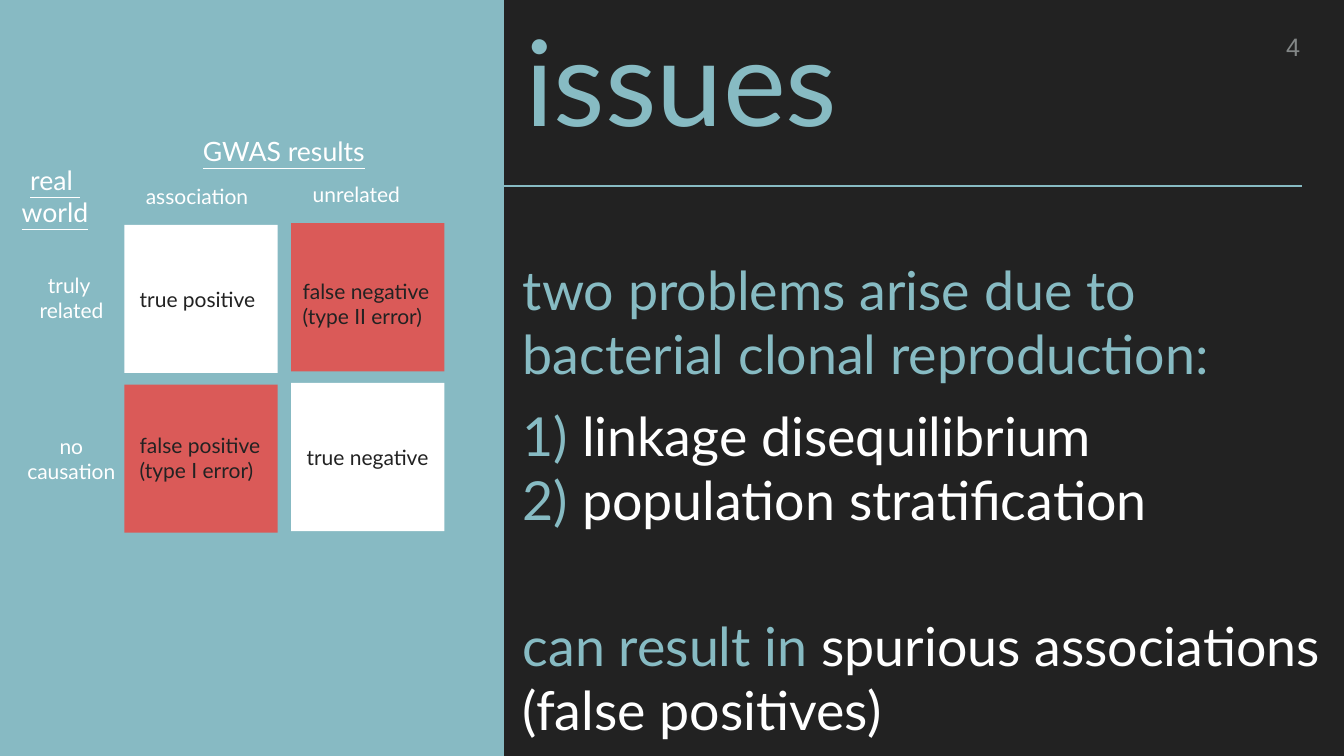
from lxml.etree import SubElement
from pptx import Presentation
from pptx.dml.color import RGBColor
from pptx.enum.shapes import MSO_CONNECTOR, MSO_SHAPE
from pptx.enum.text import MSO_ANCHOR, MSO_AUTO_SIZE, PP_ALIGN
from pptx.oxml.ns import qn
from pptx.util import Cm, Pt

DARK = RGBColor(0x22, 0x22, 0x22)
TEAL = RGBColor(0x87, 0xBB, 0xC3)
PANEL = RGBColor(0x87, 0xBA, 0xC3)
RED = RGBColor(0xDA, 0x5A, 0x58)
WHITE = RGBColor(0xFF, 0xFF, 0xFF)
GRAY = RGBColor(0x83, 0x87, 0x87)

SLIDE_WIDTH, SLIDE_HEIGHT = 67.74, 38.1
PANEL_WIDTH = 25.4


class SlideBuilder:
    font = "Lato"
    inset = Cm(0.16)

    def __init__(self, slide):
        self.slide = slide
        slide.background.fill.solid()
        slide.background.fill.fore_color.rgb = DARK

    def rectangle(self, left, top, width, height, color):
        shape = self.slide.shapes.add_shape(
            MSO_SHAPE.RECTANGLE, Cm(left), Cm(top), Cm(width), Cm(height))
        shape.shadow.inherit = False
        shape.fill.solid()
        shape.fill.fore_color.rgb = color
        shape.line.fill.background()

    def rule(self, left, right, top, color, weight):
        connector = self.slide.shapes.add_connector(
            MSO_CONNECTOR.STRAIGHT, Cm(left), Cm(top), Cm(right), Cm(top))
        connector.line.color.rgb = color
        connector.line.width = Pt(weight)
        properties = connector._element.find(qn("p:spPr"))
        SubElement(properties, qn("a:effectLst"))

    def frame(self, shape, anchor, wrap, auto_size):
        text_frame = shape.text_frame
        text_frame.margin_left = text_frame.margin_right = self.inset
        text_frame.margin_top = text_frame.margin_bottom = self.inset
        text_frame.vertical_anchor = anchor
        text_frame.word_wrap = wrap
        text_frame.auto_size = auto_size
        return text_frame

    def run(self, paragraph, text, size, color, font=None, underline=None):
        run = paragraph.add_run()
        run.text = text
        run.font.name = font or self.font
        run.font.size = Pt(size)
        run.font.color.rgb = color
        run.font.underline = underline

    def title(self, text, left, top, width, height, size):
        shape = self.slide.shapes.title
        shape.left, shape.top = Cm(left), Cm(top)
        shape.width, shape.height = Cm(width), Cm(height)
        text_frame = self.frame(shape, MSO_ANCHOR.TOP, True, MSO_AUTO_SIZE.NONE)
        paragraph = text_frame.paragraphs[0]
        paragraph.alignment = PP_ALIGN.LEFT
        self.run(paragraph, text, size, TEAL)

    def body(self, paragraphs, left, top, width, height, size):
        shape = self.slide.shapes.add_textbox(Cm(left), Cm(top), Cm(width), Cm(height))
        text_frame = self.frame(shape, MSO_ANCHOR.BOTTOM, True, MSO_AUTO_SIZE.NONE)
        for index, (space_before, runs) in enumerate(paragraphs):
            paragraph = text_frame.add_paragraph() if index else text_frame.paragraphs[0]
            paragraph.space_before = Pt(space_before)
            for text, color in runs:
                self.run(paragraph, text, size, color)

    def label(self, lines, left, top, width, height, color=WHITE, size=30,
              alignment=PP_ALIGN.LEFT, underline=None, font=None,
              anchor=MSO_ANCHOR.MIDDLE, line_spacing=None):
        shape = self.slide.shapes.add_textbox(Cm(left), Cm(top), Cm(width), Cm(height))
        text_frame = self.frame(shape, anchor, False, MSO_AUTO_SIZE.SHAPE_TO_FIT_TEXT)
        paragraph = text_frame.paragraphs[0]
        paragraph.alignment = alignment
        paragraph.line_spacing = line_spacing
        for index, line in enumerate(lines):
            if index:
                paragraph.add_line_break()
            self.run(paragraph, line, size, color, font, underline)


def main():
    presentation = Presentation()
    presentation.slide_width = Cm(SLIDE_WIDTH)
    presentation.slide_height = Cm(SLIDE_HEIGHT)
    builder = SlideBuilder(presentation.slides.add_slide(presentation.slide_layouts[5]))

    builder.rule(PANEL_WIDTH, 65.61, 9.37, TEAL, 4)
    builder.rectangle(0, 0, PANEL_WIDTH, SLIDE_HEIGHT, PANEL)
    builder.title("issues", 26.31, 0.2, 37.62, 10.59, 170)
    builder.body([
        (0, [("two problems arise due to bacterial clonal reproduction:", TEAL)]),
        (24, [("1) ", TEAL), ("linkage disequilibrium", WHITE)]),
        (0, [("2) ", TEAL), ("population stratification", WHITE)]),
        (116, [("can result in", TEAL),
               (" spurious associations (false positives)", WHITE)]),
    ], 26.19, 9.45, 40.97, 28.09, 76.8)
    builder.label(["4"], 64.67, 1.7, 0.91, 1.75, GRAY, 36, PP_ALIGN.RIGHT,
                  font="Arial", anchor=MSO_ANCHOR.TOP, line_spacing=0.8)

    row_step = 8.05
    columns = [(6.27, 11.33, (WHITE, RED)), (14.68, 11.25, (RED, WHITE))]
    for left, top, colors in columns:
        for row, color in enumerate(colors):
            builder.rectangle(left, top + row * row_step, 7.72, 7.47, color)

    builder.label(["association"], 7.19, 9.02, 5.72, 1.73)
    builder.label(["unrelated"], 15.6, 8.94, 4.98, 1.73)
    builder.label(["truly ", "related"], 1.73, 13.41, 3.76, 3.18,
                  alignment=PP_ALIGN.CENTER)
    builder.label(["no", "causation"], 1.12, 21.51, 4.95, 3.18,
                  alignment=PP_ALIGN.CENTER)
    builder.label(["real ", "world"], 0.84, 7.9, 3.86, 3.96, size=38,
                  alignment=PP_ALIGN.CENTER, underline=True)
    builder.label(["GWAS results"], 10.06, 6.55, 8.69, 2.11, size=38, underline=True)

    outcomes = [
        (["true positive"], 6.88, 14.2, 6.35, 1.73),
        (["true negative"], 15.29, 22.17, 6.76, 1.73),
        (["false positive", "(type I error)"], 6.88, 21.46, 6.65, 3.18),
        (["false negative", "(type II error)"], 15.09, 13.72, 7.06, 3.18),
    ]
    for outcome in outcomes:
        builder.label(*outcome, color=DARK)

    presentation.save("out.pptx")


if __name__ == "__main__":
    main()
